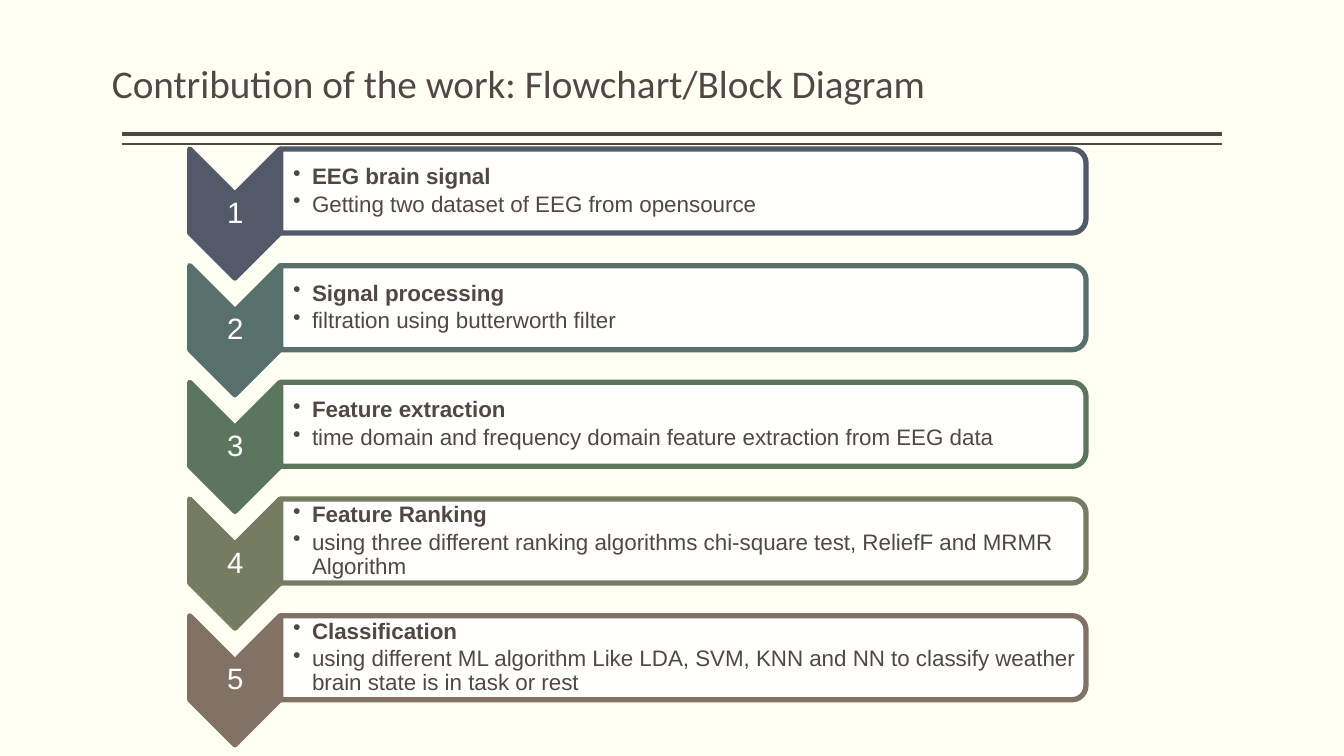
from lxml import etree
from pptx import Presentation
from pptx.dml.color import RGBColor
from pptx.enum.shapes import MSO_CONNECTOR, MSO_SHAPE
from pptx.enum.text import MSO_ANCHOR, PP_ALIGN
from pptx.oxml.ns import qn
from pptx.util import Pt

CHEVRON = MSO_SHAPE.CHEVRON
ROUND_BAR = MSO_SHAPE.ROUND_2_SAME_RECTANGLE
STRAIGHT = MSO_CONNECTOR.STRAIGHT
TOP, MIDDLE = MSO_ANCHOR.TOP, MSO_ANCHOR.MIDDLE
LEFT, CENTER = PP_ALIGN.LEFT, PP_ALIGN.CENTER

CREAM = RGBColor(0xFF, 0xFF, 0xF3)
WHITE = RGBColor(0xFF, 0xFF, 0xFF)
BROWN = RGBColor(0x51, 0x48, 0x43)
SLATE = RGBColor(0x52, 0x5A, 0x6A)
TEAL = RGBColor(0x57, 0x70, 0x6C)
GREEN = RGBColor(0x5C, 0x76, 0x5D)
OLIVE = RGBColor(0x76, 0x7C, 0x61)
TAUPE = RGBColor(0x82, 0x72, 0x66)

STEPS = [
    (SLATE, "EEG brain signal", "Getting two dataset of EEG from opensource"),
    (TEAL, "Signal processing", "filtration using butterworth filter"),
    (GREEN, "Feature extraction",
     "time domain and frequency domain feature extraction from EEG data"),
    (OLIVE, "Feature Ranking",
     "using three different ranking algorithms chi-square test, ReliefF and MRMR Algorithm"),
    (TAUPE, "Classification",
     "using different ML algorithm Like LDA, SVM, KNN and NN to classify weather "
     "brain state is in task or rest"),
]
PITCH = 83.35

prs = Presentation()
prs.slide_width, prs.slide_height = Pt(960), Pt(540)
s = prs.slides.add_slide(prs.slide_layouts[6])
s.background.fill.solid()
s.background.fill.fore_color.rgb = CREAM


def add_text(box, texts, font, insets, anchor=MIDDLE, align=LEFT):
    """Add a text box with one paragraph per text; returns its paragraphs."""
    tf = s.shapes.add_textbox(*map(Pt, box)).text_frame
    tf.word_wrap = True
    tf.vertical_anchor = anchor
    for side, inset in zip(("left", "top", "right", "bottom"), insets):
        setattr(tf, f"margin_{side}", Pt(inset))
    for i, text in enumerate(texts):
        p = tf.add_paragraph() if i else tf.paragraphs[0]
        p.alignment, p.line_spacing = align, 0.9
        r = p.add_run()
        r.text = text
        r.font.color.rgb = font["color"]
        for name in ("name", "size"):
            setattr(r.font, name, font[name])
    return tf.paragraphs


def add_rotated(kind, box, fill, line):
    """Add a preset shape turned a quarter clockwise."""
    sp = s.shapes.add_shape(kind, *map(Pt, box))
    sp.rotation = 90
    sp.shadow.inherit = False
    sp.fill.solid()
    sp.fill.fore_color.rgb = fill
    sp.line.color.rgb = line
    sp.line.width = Pt(3.78)
    return sp


# Double rule under the title
for y, width in ((95.8, 3), (102.8, 1)):
    rule = s.shapes.add_connector(STRAIGHT, Pt(87.1), Pt(y), Pt(873.1), Pt(y))
    rule.line.color.rgb = BROWN
    rule.line.width = Pt(width)
    etree.SubElement(rule._element.spPr, qn("a:effectLst"))

# Title
add_text((80, 42.5, 861, 58.3), ["Contribution of the work: Flowchart/Block Diagram"],
         {"name": "Calibri", "size": Pt(28), "color": BROWN}, (0, 3.6, 0, 3.6), TOP)

# Numbered steps: chevron, number, bar and bullets
for i, (color, heading, detail) in enumerate(STEPS):
    dy = i * PITCH
    add_rotated(CHEVRON, (121.7, 120.2 + dy, 92.2, 64.6), color, color)
    add_text((135.8, 138.6 + dy, 64.6, 28), [str(i + 1)],
             {"name": "Arial", "size": Pt(21), "color": WHITE}, (0.9,) * 4, align=CENTER)

    bar = add_rotated(ROUND_BAR, (458.1, -151.2 + dy, 60, 575.2), WHITE, color)
    white = bar._element.spPr.find(qn("a:solidFill"))[0]
    etree.SubElement(white, qn("a:alpha"), val="90000")

    bullets = add_text((200.4, 109.4 + dy, 572.3, 54.1), [heading, detail],
                       {"name": "Arial", "size": Pt(16), "color": BROWN},
                       (8.96, 0.8, 0.8, 0.8))
    bullets[0].runs[0].font.bold = True
    for p in bullets:
        p.space_after = Pt(2.4)
        pPr = p._p.get_or_add_pPr()
        pPr.set("marL", str(Pt(13.5)))
        pPr.set("indent", str(-Pt(13.5)))
        etree.SubElement(pPr, qn("a:buChar"), char="•")

prs.save("out.pptx")
